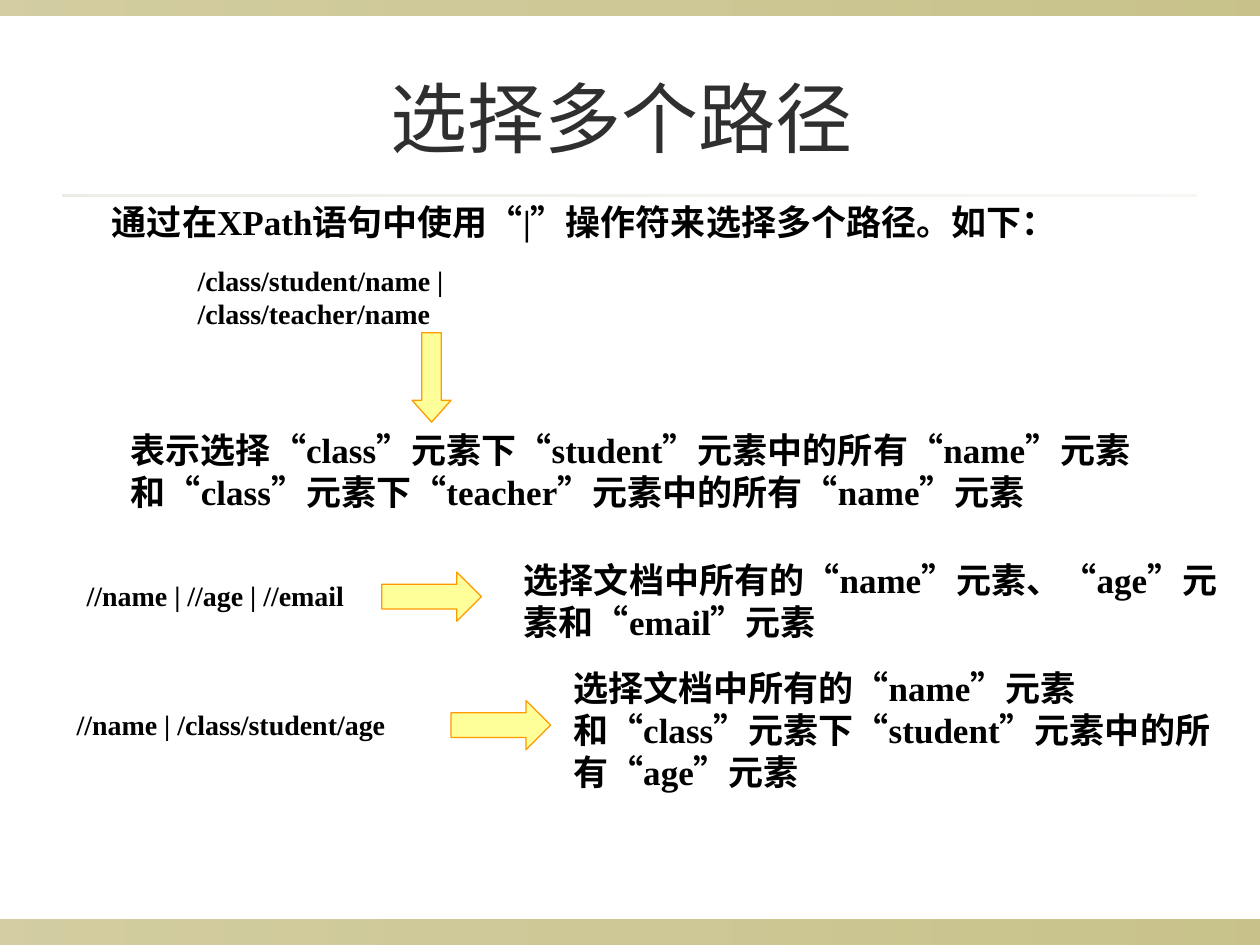
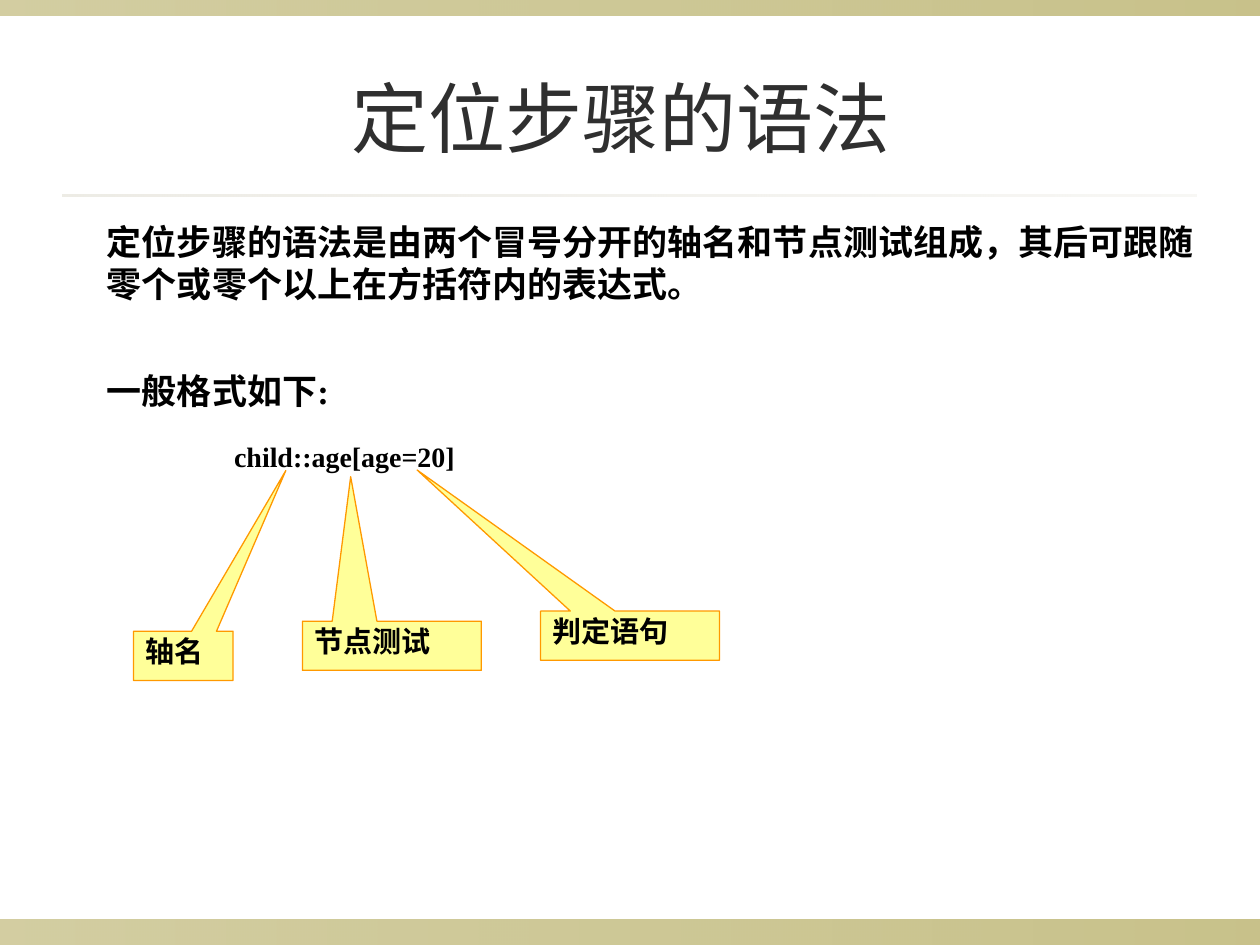
from lxml.etree import SubElement as Sub
from pptx import Presentation
from pptx.dml.color import RGBColor
from pptx.enum.shapes import MSO_SHAPE as Kind
from pptx.enum.text import MSO_ANCHOR as Anchor, PP_ALIGN as Align
from pptx.oxml.ns import qn
from pptx.util import Inches, Pt

hue = RGBColor.from_string
OLIVE, SAND, GREY = "918415", "DCD9CC", "2F2F2F"
BLACK, CREAM, AMBER = "000000", "FFFF99", "FF9900"
HEAD, BODY = "Roboto", "Times New Roman"
BIG, CODE, NOTE = 20, 16, 16.6
MID, TOP = Anchor.MIDDLE, Anchor.TOP

deck = Presentation()
deck.slide_width, deck.slide_height = Inches(10), Inches(7.5)
COL = deck.slide_width / 100
ROW = deck.slide_height / 75


def grid(x, y, w, h):
    return [round(n * unit) for n, unit in zip((x, y, w, h), (COL, ROW, COL, ROW))]


def write(frame, text, size, anchor=MID, wrap=True, font=BODY, color=BLACK, bold=True,
          align=Align.LEFT, lead=1.0):
    frame.word_wrap = wrap
    frame.vertical_anchor = anchor
    para = frame.paragraphs[0]
    para.alignment = align
    para.line_spacing = lead
    run = para.add_run()
    run.text = text
    run.font.size = Pt(size)
    run.font.name = font
    run.font.bold = bold
    run.font.color.rgb = hue(color)


bands = [
    ((0, 73, 100, 2), OLIVE, (40, 50)),
    ((0, 0, 100, 1.2), OLIVE, (40, 50)),
    ((5, 15.4, 90, 0.2), SAND, (50, 20)),
]

pages = [
    ("选择多个路径 ", [
        ((7.9, 15.4, 92.1, 4.4), "通过在XPath语句中使用“|”操作符来选择多个路径。如下：", BIG, MID, True),
        ((14.7, 21.7, 40.5, 3.7), "/class/student/name | /class/teacher/name", CODE, MID, False),
        ((9.4, 33.5, 90.6, 7.7),
         "表示选择“class”元素下“student”元素中的所有“name”元素"
         "和“class”元素下“teacher”元素中的所有“name”元素 ", BIG, MID, True),
        ((5.9, 45.4, 24.4, 3.7), "//name | //age | //email", CODE, MID, True),
        ((40.6, 43.8, 59.4, 7.7),
         "选择文档中所有的“name”元素、“age”元素和“email”元素 ", BIG, MID, True),
        ((5.1, 55.6, 31.5, 3.7), "//name | /class/student/age ", CODE, MID, True),
        ((44.5, 52.4, 53.1, 11),
         "选择文档中所有的“name”元素和“class”元素下“student”元素中的所有“age”元素",
         BIG, MID, True),
    ], [
        (Kind.RIGHT_ARROW, (30.7, 28.4, 7.1, 3.1), (0.5, 0.56), 90, ""),
        (Kind.RIGHT_ARROW, (30.3, 45.4, 7.9, 3.9), (0.5, 0.5), 0, ""),
        (Kind.RIGHT_ARROW, (35.8, 55.6, 7.9, 3.9), (0.5, 0.5), 0, ""),
    ]),
    ("定位步骤的语法 ", [
        ((7.5, 17, 89.8, 7.7),
         "定位步骤的语法是由两个冒号分开的轴名和节点测试组成，"
         "其后可跟随零个或零个以上在方括符内的表达式。 ", BIG, MID, True),
        ((17.6, 34.4, 19.5, 3.7), "child::age[age=20]", CODE, MID, False),
        ((7.5, 28.8, 19.5, 7.7), "一般格式如下:", BIG, TOP, True),
    ], [
        (Kind.RECTANGULAR_CALLOUT, (10.6, 50.1, 7.9, 3.9), (1.03, -3.77), 0, "轴名"),
        (Kind.RECTANGULAR_CALLOUT, (42.9, 48.5, 14.2, 3.9), (-1.19, -3.37), 0, "判定语句"),
        (Kind.RECTANGULAR_CALLOUT, (24, 49.3, 14.2, 3.9), (-0.23, -3.44), 0, "节点测试"),
    ]),
]

for title, texts, marks in pages:
    slide = deck.slides.add_slide(deck.slide_layouts[6])
    shapes = slide.shapes
    for box, color, fades in bands:
        band = shapes.add_shape(Kind.RECTANGLE, *grid(*box))
        band.shadow.inherit = False
        band.line.fill.background()
        band.fill.gradient()
        band.fill.gradient_angle = 0
        stops = band.fill.gradient_stops
        for stop, place in zip(stops, (0, 1)):
            stop.color.rgb = hue(color)
            stop.position = place
        tints = band.element.spPr.iter(qn("a:srgbClr"))
        for tint, fade in zip(list(tints), fades):
            Sub(tint, qn("a:alpha"), val=str(fade * 1000))

    head = shapes.add_textbox(*grid(5, 3, 90, 12.5))
    write(head.text_frame, title, 44, font=HEAD, color=GREY, bold=False, align=Align.CENTER)

    for box, text, size, anchor, wrap in texts:
        label = shapes.add_textbox(*grid(*box))
        write(label.text_frame, text, size, anchor, wrap)

    for kind, box, bends, turn, text in marks:
        mark = shapes.add_shape(kind, *grid(*box))
        mark.shadow.inherit = False
        mark.rotation = turn
        for i, bend in enumerate(bends):
            mark.adjustments[i] = bend
        mark.fill.solid()
        mark.fill.fore_color.rgb = hue(CREAM)
        mark.line.color.rgb = hue(AMBER)
        mark.line.width = Pt(0.74)
        if text:
            write(mark.text_frame, text, NOTE, TOP, lead=0.9)

deck.save("out.pptx")
